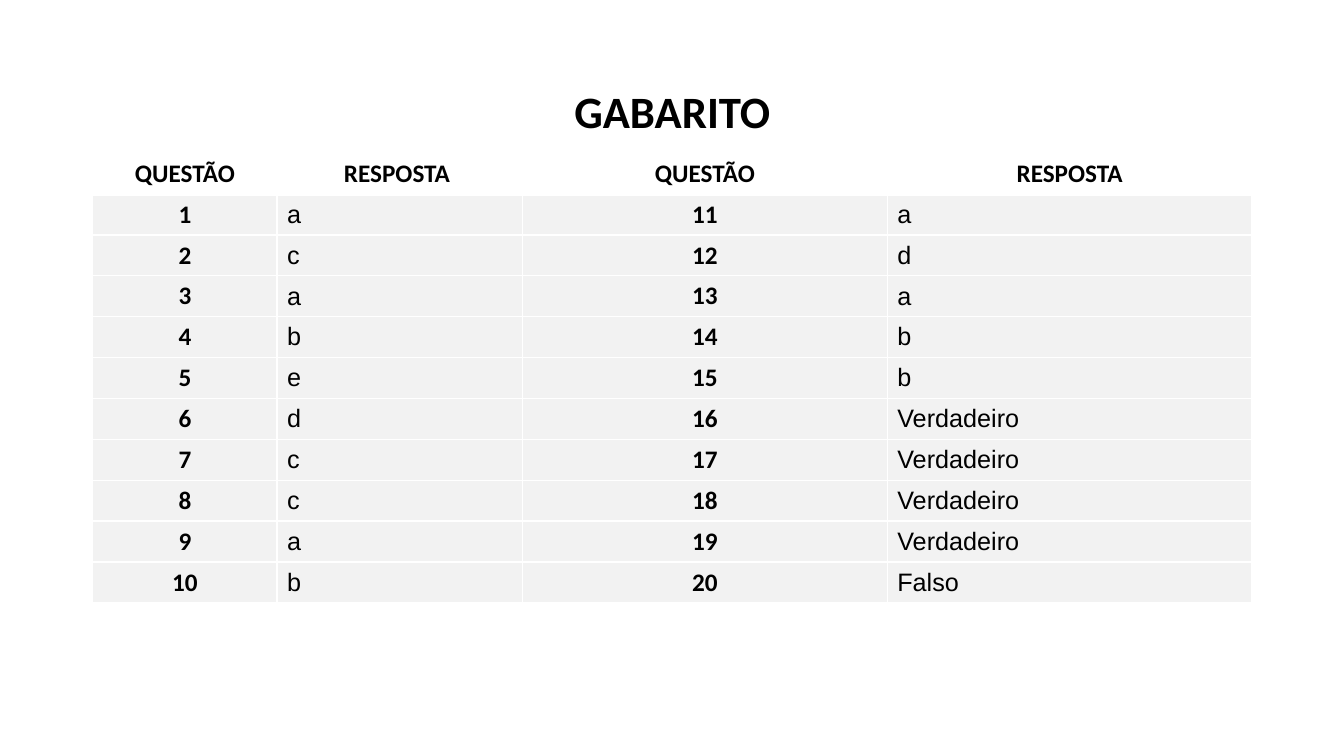
from lxml.etree import SubElement as Sub
from pptx import Presentation
from pptx.dml.color import RGBColor
from pptx.enum.text import MSO_ANCHOR as Anchor, PP_ALIGN as Align
from pptx.oxml.ns import qn
from pptx.util import Cm, Pt

BLACK = RGBColor(0x00, 0x00, 0x00)
WHITE = RGBColor(0xFF, 0xFF, 0xFF)
GRAY = RGBColor(0xF2, 0xF2, 0xF2)

LEFT, WIDTH = Cm(2.34), Cm(29.21)
HEADS = ["QUESTÃO", "RESPOSTA ", "QUESTÃO", "RESPOSTA"]
FIRST = ["a", "c", "a", "b", "e", "d", "c", "c", "a", "b"]
LAST = ["a", "d", "a", "b", "b"] + ["Verdadeiro"] * 4 + ["Falso"]
WIDTHS = [4.64, 6.19, 9.19, 9.19]
HEIGHT = 1.03


def style(para, font, size, bold, align):
    para.alignment = align
    para.font.name = font
    para.font.size = Pt(size)
    para.font.bold = bold
    para.font.color.rgb = BLACK


def border(cell, side, width):
    line = Sub(cell._tc.get_or_add_tcPr(), qn(f"a:ln{side}"), w=str(Pt(width)))
    fill = Sub(line, qn("a:solidFill"))
    Sub(fill, qn("a:srgbClr"), val=str(WHITE))


prs = Presentation()
prs.slide_width, prs.slide_height = Cm(33.87), Cm(19.05)
slide = prs.slides.add_slide(prs.slide_layouts[5])

title = slide.shapes.title
title.left, title.top, title.width, title.height = LEFT, Cm(1.02), WIDTH, Cm(3.68)
title.text_frame.text = "GABARITO"
title.text_frame.vertical_anchor = Anchor.MIDDLE
head = title.text_frame.paragraphs[0]
head.line_spacing = 0.9
style(head, "Calibri", 32, True, Align.CENTER)

rows = [HEADS]
for num, (one, two) in enumerate(zip(FIRST, LAST), 1):
    rows.append([str(num), one, str(num + len(FIRST)), two])

frame = slide.shapes.add_table(
    len(rows), len(HEADS), LEFT, Cm(3.86), WIDTH, Cm(HEIGHT * len(rows))
)
table = frame.table
for col, width in zip(table.columns, WIDTHS):
    col.width = Cm(width)

for r, row in enumerate(rows):
    table.rows[r].height = Cm(HEIGHT)
    for c, text in enumerate(row):
        cell = table.cell(r, c)
        cell.text = text
        cell.vertical_anchor = Anchor.MIDDLE
        bold = r == 0 or c % 2 == 0
        font, align = ("Calibri", Align.CENTER) if bold else ("Arial", Align.LEFT)
        style(cell.text_frame.paragraphs[0], font, 18, bold, align)
        for side in "LRTB":
            thick = (r, side) in [(0, "B"), (1, "T")]
            border(cell, side, 3 if thick else 0.96)
        cell.fill.solid()
        cell.fill.fore_color.rgb = GRAY if r else WHITE

prs.save("out.pptx")
